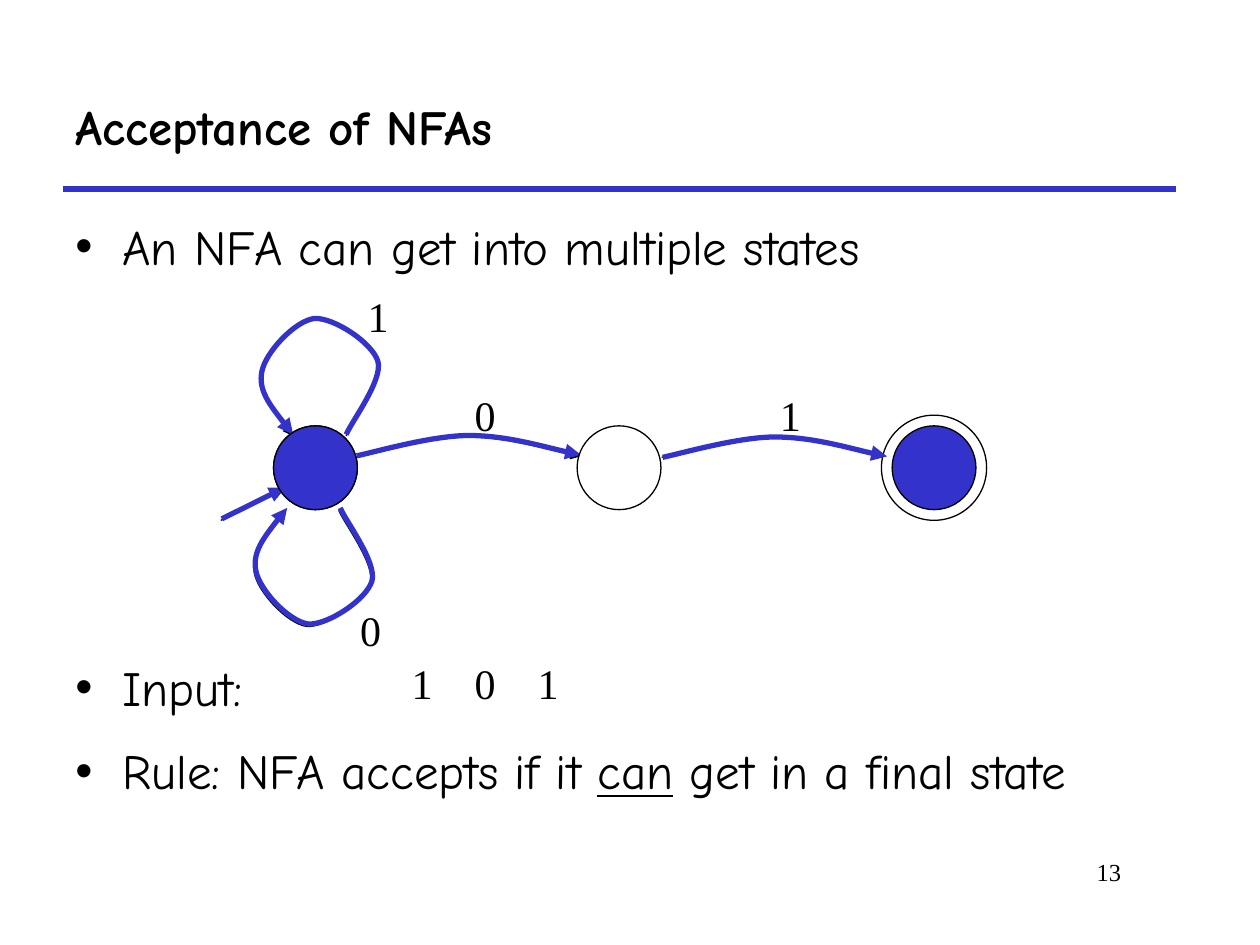
import lxml.etree
import pptx
import pptx.dml.color
import pptx.enum.shapes
import pptx.enum.text
import pptx.oxml.ns
import pptx.util

Cm = pptx.util.Cm
Pt = pptx.util.Pt
qn = pptx.oxml.ns.qn

BLACK, BLUE, WHITE = "000000", "3333CC", "FFFFFF"
THIN, THICK = 0.75, 3

# Bézier points in cm, relative to where each transition leaves its state.
LOOP = [(0.1, 0.25), (0.74, 1.09), (0.64, 1.47),
        (0.53, 1.85), (-0.25, 2.36), (-0.64, 2.34),
        (-1.04, 2.29), (-1.63, 1.65), (-1.7, 1.27),
        (-1.78, 0.89), (-1.42, 0.43), (-1.07, 0)]
LOOP_UP = [(x, -y) for x, y in LOOP]
ARC = [(0.38, -0.08), (1.52, -0.41), (2.26, -0.41),
       (3.02, -0.41), (4.06, -0.1), (4.52, -0.02)]

STATE_Y = 9.43
START_X, MIDDLE_X, FINAL_X = 6.36, 12.48, 18.83
STATE_SIZE, RING_SIZE = 1.69, 2.12


def rgb(value):
    return pptx.dml.color.RGBColor.from_string(value)


def write(frame, text, font="Times New Roman", size=24, bold=False,
          align=pptx.enum.text.PP_ALIGN.LEFT, bullet=False, underlined=""):
    """Fill the frame's first paragraph; underlined is a part of text."""
    paragraph = frame.paragraphs[0]
    paragraph.alignment = align
    pieces = text.partition(underlined) if underlined else (text,)
    for piece in pieces:
        run = paragraph.add_run()
        run.text = piece
        run.font.name = font
        run.font.size = Pt(size)
        run.font.bold = bold
        run.font.color.rgb = rgb(BLACK)
        if underlined and piece == underlined:
            run.font.underline = True
    if bullet:
        paragraph.space_before = Pt(7)
        properties = paragraph._p.get_or_add_pPr()
        properties.set("marL", str(Cm(0.95)))
        properties.set("indent", str(-Cm(0.95)))
        lxml.etree.SubElement(properties, qn("a:buFont"), typeface="Arial")
        lxml.etree.SubElement(properties, qn("a:buChar"), char="•")


class SlideBuilder:
    heading_font = "Comic Neue"
    heading_size = 28

    def __init__(self, slide):
        self.slide = slide

    def title(self, text, left, top, width, height):
        shape = self.slide.shapes.title
        shape.left, shape.top = Cm(left), Cm(top)
        shape.width, shape.height = Cm(width), Cm(height)
        shape.text_frame.vertical_anchor = pptx.enum.text.MSO_ANCHOR.MIDDLE
        write(shape.text_frame, text, font=self.heading_font,
              size=self.heading_size, bold=True)

    def text(self, text, left, top, width, height, wrap=True, **text_format):
        box = self.slide.shapes.add_textbox(Cm(left), Cm(top), Cm(width), Cm(height))
        box.text_frame.word_wrap = wrap
        write(box.text_frame, text, **text_format)

    def bullet(self, text, top, width, height, underlined=""):
        self.text(text, 1.27, top, width, height, font=self.heading_font,
                  size=self.heading_size, bullet=True, underlined=underlined)

    def symbol(self, text, left, top):
        self.text(text, left, top, 0.91, 1.27, wrap=False)

    def state(self, center_x, size=STATE_SIZE, fill=None):
        shape = self.slide.shapes.add_shape(
            pptx.enum.shapes.MSO_SHAPE.OVAL,
            Cm(center_x - size / 2), Cm(STATE_Y - size / 2), Cm(size), Cm(size))
        shape.shadow.inherit = False
        if fill:
            shape.fill.solid()
            shape.fill.fore_color.rgb = rgb(fill)
        else:
            shape.fill.background()
        self.stroke(shape, BLACK, THIN)

    def stroke(self, shape, color, width, arrow=False):
        shape.line.color.rgb = rgb(color)
        shape.line.width = Pt(width)
        if arrow:
            outline = shape._element.spPr.find(qn("a:ln"))
            lxml.etree.SubElement(outline, qn("a:tailEnd"), type="triangle")

    def line(self, start, end, color, width, arrow=False):
        connector = self.slide.shapes.add_connector(
            pptx.enum.shapes.MSO_CONNECTOR.STRAIGHT,
            *(Cm(value) for value in (*start, *end)))
        self.stroke(connector, color, width, arrow)
        lxml.etree.SubElement(connector._element.spPr, qn("a:effectLst"))

    def curve(self, start, offsets, color, width):
        """Draw a curved arrow; each three offsets make one Bézier piece."""
        x, y = start
        builder = self.slide.shapes.build_freeform(Cm(x), Cm(y))
        builder.add_line_segments(
            [(Cm(x + dx), Cm(y + dy)) for dx, dy in offsets], close=False)
        shape = builder.convert_to_shape()
        shape.shadow.inherit = False
        shape.fill.background()
        self.stroke(shape, color, width, arrow=True)
        outline = shape._element.xpath(".//a:path")[0]
        segments = outline.findall(qn("a:lnTo"))
        for first in range(0, len(segments), 3):
            bezier = lxml.etree.SubElement(outline, qn("a:cubicBezTo"))
            for segment in segments[first:first + 3]:
                bezier.append(segment[0])
                outline.remove(segment)

    def transitions(self, color, width, entry, loop_up, loop_down, arcs):
        self.line(entry, (entry[0] + 1.27, entry[1] - 0.63), color, width, arrow=True)
        self.curve(loop_up, LOOP_UP, color, width)
        self.curve(loop_down, LOOP, color, width)
        for start in arcs:
            self.curve(start, ARC, color, width)


def main():
    presentation = pptx.Presentation()
    presentation.slide_width, presentation.slide_height = Cm(25.4), Cm(19.05)
    builder = SlideBuilder(
        presentation.slides.add_slide(presentation.slide_layouts[5]))

    builder.line((1.27, 3.81), (23.7, 3.81), BLUE, THICK)
    builder.text("13", 19.25, 17.15, 3.6, 1.27, size=14,
                 align=pptx.enum.text.PP_ALIGN.RIGHT)
    builder.title("Acceptance of NFAs", 1.27, 1.27, 22.43, 2.54)
    builder.bullet("An NFA can get into multiple states", 4.24, 23.06, 2.34)
    builder.bullet("Input:", 13.13, 4.65, 1.48)
    builder.bullet("Rule: NFA accepts if it can get in a final state",
                   14.81, 22.86, 1.48, underlined="can")

    builder.state(FINAL_X, RING_SIZE)
    builder.state(START_X)
    builder.transitions(BLACK, THIN, (4.45, 10.49), (6.98, 8.79), (6.83, 10.29),
                        [(7.19, 9.22), (13.34, 9.22)])
    for text, left, top in [("0", 9.32, 7.72), ("1", 7.16, 5.74),
                            ("1", 15.47, 7.72), ("0", 7.01, 12.07)]:
        builder.symbol(text, left, top)
    for index, text in enumerate("101"):
        builder.symbol(text, 8.05 + 1.27 * index, 13.13)

    builder.transitions(BLUE, THICK, (4.47, 10.46), (6.98, 8.76), (6.86, 10.24),
                        [(7.19, 9.19), (13.36, 9.22)])
    for center_x, fill in [(FINAL_X, BLUE), (START_X, BLUE), (MIDDLE_X, WHITE)]:
        builder.state(center_x, fill=fill)

    presentation.save("out.pptx")


if __name__ == "__main__":
    main()
